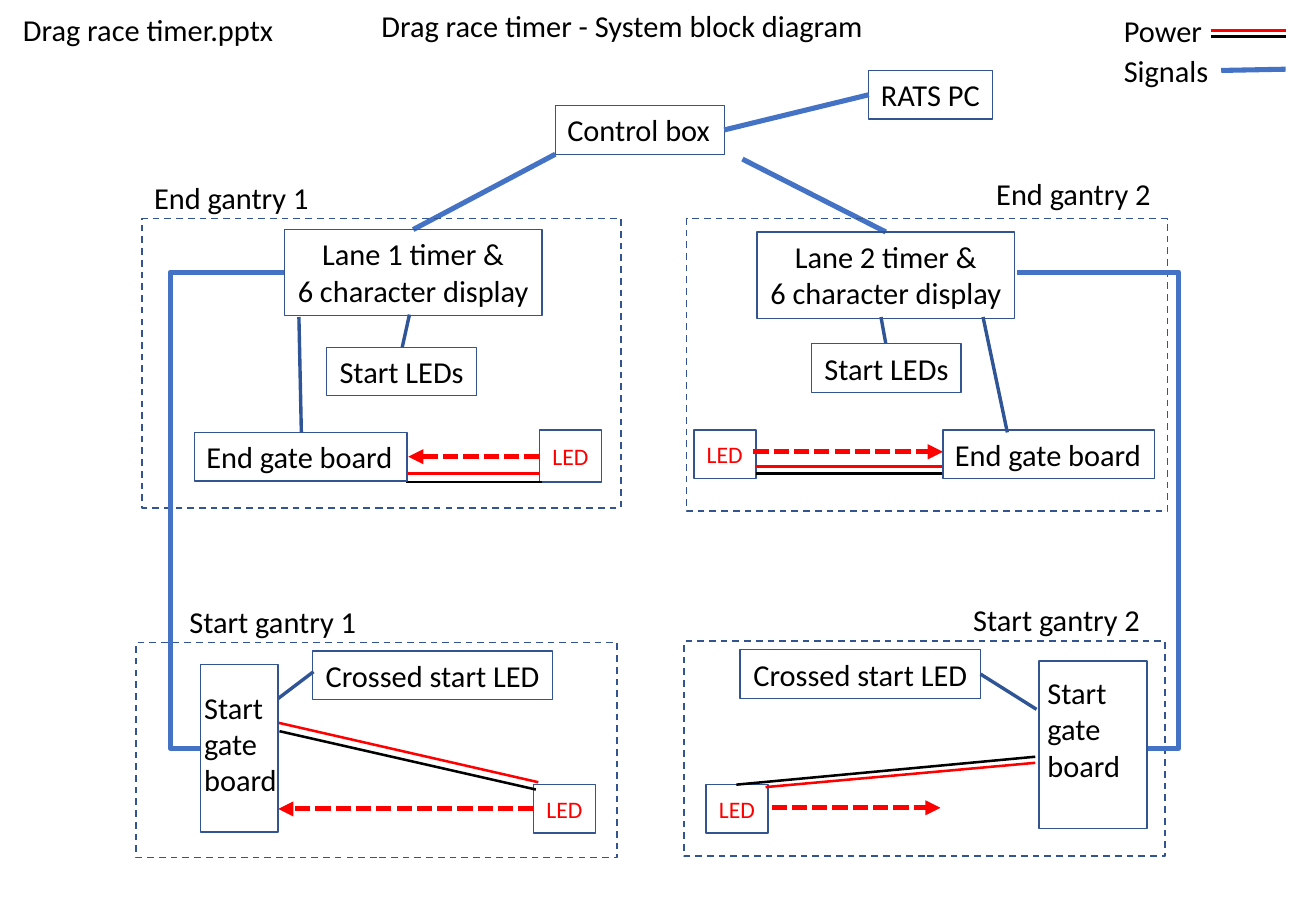
from lxml.etree import SubElement
from pptx import Presentation
from pptx.dml.color import RGBColor
from pptx.enum.dml import MSO_LINE_DASH_STYLE as Dash
from pptx.enum.shapes import MSO_CONNECTOR as Connector, MSO_SHAPE as Shape
from pptx.enum.text import MSO_ANCHOR as Anchor, PP_ALIGN as Align
from pptx.oxml.ns import qn
from pptx.util import Inches, Pt

CELL = 0.1
COLUMNS, ROWS = 108.3, 75
LABEL_ROWS = 4
BLACK, RED, OUTLINE = "000000", "FF0000", "325491"
SIGNAL, LINK = "4472C4", "2F5597"
WIRES = {
    "signal": dict(color=SIGNAL, width=3),
    "link": dict(color=LINK, width=2),
    "beam": dict(color=RED, width=3, dash=Dash.SQUARE_DOT, arrow=True),
    "plus": dict(color=RED, width=1.5),
    "minus": dict(color=BLACK, width=1.5),
}


def cells(count):
    return Inches(round(count * CELL, 3))


def paint(hex_text):
    return RGBColor.from_string(hex_text)


def place(region, part):
    left, top = region[:2]
    return left + part[0], top + part[1], *part[2:]


def write(shape, text, size=18, color=BLACK, align=Align.LEFT, anchor=Anchor.TOP,
          wrap=False, insets=(1, 0.5, 1, 0.5)):
    frame = shape.text_frame
    frame.word_wrap = wrap
    frame.vertical_anchor = anchor
    frame.margin_left, frame.margin_top, frame.margin_right, frame.margin_bottom = map(cells, insets)
    for index, line in enumerate(text.split("\n")):
        paragraph = frame.paragraphs[0] if index == 0 else frame.add_paragraph()
        paragraph.alignment = align
        run = paragraph.add_run()
        run.text = line
        run.font.name = "Calibri"
        run.font.size = Pt(size)
        run.font.color.rgb = paint(color)


def add_label(slide, region, part, text):
    write(slide.shapes.add_textbox(*map(cells, place(region, part))), text)


def add_box(slide, region, part, text="", width=0.75, dash=None, **text_format):
    shape = slide.shapes.add_shape(Shape.RECTANGLE, *map(cells, place(region, part)))
    shape.shadow.inherit = False
    shape.fill.background()
    shape.line.color.rgb = paint(OUTLINE)
    shape.line.width = Pt(width)
    if dash:
        shape.line.dash_style = dash
    if text:
        write(shape, text, **text_format)


def add_led(slide, region, part):
    add_box(slide, region, part, "LED", width=1, size=14, color=RED,
            align=Align.CENTER, anchor=Anchor.MIDDLE)


def add_wire(slide, region, ends, color, width, dash=None, arrow=False, bend=None):
    start, end = place(region, ends[:2]), place(region, ends[2:])
    kind = Connector.ELBOW if bend else Connector.STRAIGHT
    wire = slide.shapes.add_connector(kind, *map(cells, start + end))
    wire.line.color.rgb = paint(color)
    wire.line.width = Pt(width)
    if dash:
        wire.line.dash_style = dash
    properties = wire._element.spPr
    if arrow:
        SubElement(wire.line._get_or_add_ln(), qn("a:tailEnd"), type="triangle")
    SubElement(properties, qn("a:effectLst"))
    if bend:
        guides = properties.find(qn("a:prstGeom")).get_or_add_avLst()
        SubElement(guides, qn("a:gd"), name="adj1", fmla=f"val {round(bend * 100000)}")


def add_wires(slide, region, wires):
    for style, *ends in wires:
        add_wire(slide, region, ends, **WIRES[style])


def add_gantry(slide, region, name, name_at, led, wires):
    add_box(slide, region, (0, 0, *region[2:]), width=1, dash=Dash.DASH)
    add_label(slide, region, (*name_at, 15.9, LABEL_ROWS), name)
    add_led(slide, region, led)
    add_wires(slide, region, wires)


def end_gantry(slide, region, lane, name_at, timer_at, start_leds_at, board, led, wires):
    add_gantry(slide, region, f"End gantry {lane}", name_at, led, wires)
    add_box(slide, region, (*timer_at, 21.2, 7.1),
            f"Lane {lane} timer &\n6 character display", align=Align.CENTER)
    add_box(slide, region, (*start_leds_at, 12.3, LABEL_ROWS), "Start LEDs", align=Align.CENTER)
    add_box(slide, region, (*board, LABEL_ROWS), "End gate board")


def start_gantry(slide, region, lane, name_at, crossed_at, board, board_insets, led, wires):
    add_gantry(slide, region, f"Start gantry {lane}", name_at, led, wires)
    add_box(slide, region, (*crossed_at, 19.8, LABEL_ROWS), "Crossed start LED", align=Align.CENTER)
    add_box(slide, region, board, "Start gate board", width=1, wrap=True, insets=board_insets)


def header(slide, region):
    add_label(slide, region, (0.9, 0.4, 22.9, LABEL_ROWS), "Drag race timer.pptx")
    add_label(slide, region, (30.4, 0.1, 42.1, LABEL_ROWS), "Drag race timer - System block diagram")


def legend(slide, region):
    add_label(slide, region, (0, 0, 8.5, LABEL_ROWS), "Power")
    add_label(slide, region, (0, 3.3, 9, LABEL_ROWS), "Signals")
    for row, color in ((2, RED), (2.5, BLACK)):
        add_wire(slide, region, (8.2, row, 14.3, row), color=color, width=2)
    add_wires(slide, region, [("signal", 9, 5.3, 14.3, 5.2)])


def control(slide, region):
    add_box(slide, region, (0, 2.9, 13.9, LABEL_ROWS), "Control box")
    add_box(slide, region, (25.8, 0, 10.2, LABEL_ROWS), "RATS PC")
    add_wires(slide, region, [
        ("signal", 13.9, 4.9, 25.8, 2),
        ("signal", -11.7, 13.1, 0, 6.9),
        ("signal", 15.4, 7.3, 27.2, 13.3),
    ])


def lane_cables(slide, region):
    add_wire(slide, region, (23.4, 22.4, 16.5, 61.6), bend=1.36, **WIRES["signal"])
    add_wire(slide, region, (83.7, 22.4, 94.5, 61.6), bend=1.23, **WIRES["signal"])


presentation = Presentation()
presentation.slide_width, presentation.slide_height = cells(COLUMNS), cells(ROWS)
slide = presentation.slides.add_slide(presentation.slide_layouts[6])
whole_slide = (0, 0, COLUMNS, ROWS)

header(slide, whole_slide)
legend(slide, (91.5, 0.5))
control(slide, (45.7, 5.8))
end_gantry(
    slide, (11.7, 18, 39.4, 23.8), 1, name_at=(0, -3.7), timer_at=(11.7, 0.9),
    start_leds_at=(15.2, 10.6), board=(4.3, 17.6, 17.5), led=(32.7, 17.4, 5.1, 4.3),
    wires=[
        ("link", 12.9, 8.1, 13.1, 17.6),
        ("link", 22, 7.9, 21.4, 10.6),
        ("beam", 32.7, 19.6, 21.9, 19.6),
        ("plus", 21.8, 21, 32.7, 21),
        ("minus", 21.7, 21.7, 32.9, 21.7),
    ])
end_gantry(
    slide, (56.5, 18, 39.6, 24.1), 2, name_at=(24.5, -4.1), timer_at=(5.8, 1.1),
    start_leds_at=(10.3, 10.3), board=(21.1, 17.4, 17.4), led=(0.6, 17.4, 5.1, 4),
    wires=[
        ("link", 24.4, 8.1, 26.4, 17.6),
        ("link", 16, 8.1, 16.4, 10.3),
        ("beam", 5.5, 19.2, 21.1, 19.2),
        ("plus", 5.6, 20.4, 21, 20.4),
        ("minus", 5.7, 21, 21.1, 21),
    ])
start_gantry(
    slide, (11.2, 52.9, 39.6, 17.7), 1, name_at=(3.4, -3.7), crossed_at=(14.5, 0.7),
    board=(5.3, 1.8, 6.4, 13.8), board_insets=(0.3, 2, 0, 0), led=(32.7, 11.7, 5.1, 4),
    wires=[
        ("link", 14.6, 2.4, 11.7, 4.6),
        ("plus", 11.7, 6.6, 33.1, 11.5),
        ("minus", 11.8, 7.3, 32.9, 12.1),
        ("beam", 32.7, 13.7, 11.7, 13.7),
    ])
start_gantry(
    slide, (56.3, 52.8, 39.6, 17.7), 2, name_at=(22.8, -3.8), crossed_at=(4.6, 0.7),
    board=(29.2, 1.6, 8.9, 13.8), board_insets=(0.7, 1.1, 1.3, 0), led=(1.8, 11.8, 5.1, 4),
    wires=[
        ("link", 24.4, 2.7, 29, 5.6),
        ("plus", 28.9, 10, 6.7, 12),
        ("minus", 28.9, 9.5, 4.3, 11.8),
        ("beam", 7.2, 13.7, 21.1, 13.7),
    ])
lane_cables(slide, whole_slide)
presentation.save("out.pptx")
